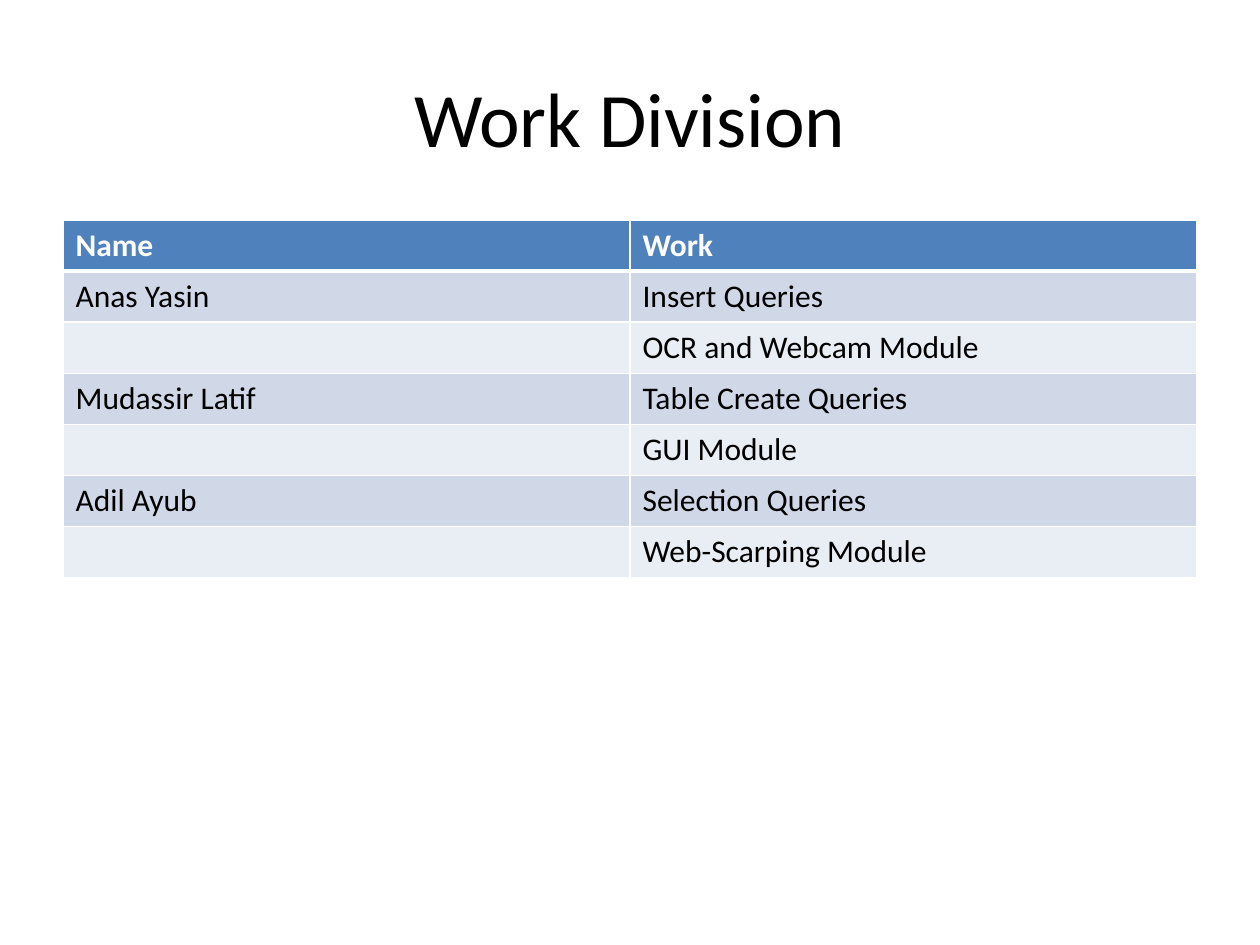
from dataclasses import dataclass

from lxml import etree
from pptx import Presentation
from pptx.dml.color import RGBColor
from pptx.enum.text import MSO_ANCHOR, PP_ALIGN
from pptx.oxml.ns import qn
from pptx.util import Pt

MIDDLE = MSO_ANCHOR.MIDDLE
CENTER = PP_ALIGN.CENTER
TITLE_ONLY = 5
EMU_PER_PX = 914400 / 126
EMU_PER_PT = 12700


@dataclass(frozen=True)
class Theme:
    font: str = "Calibri"
    title_size: int = 44
    cell_size: int = 18
    text: str = "000000"
    light: str = "FFFFFF"
    header: str = "4F81BD"
    bands: tuple = ("D0D8E8", "E9EDF4")
    border: int = 1
    header_border: int = 3


def px(n):
    return round(n * EMU_PER_PX)


class SlideBuilder:
    def __init__(self, prs, theme):
        self.theme = theme
        self.s = prs.slides.add_slide(prs.slide_layouts[TITLE_ONLY])

    def add_text(self, p, text, size, color, bold=False):
        r = p.add_run()
        r.text = text
        style = {"name": self.theme.font, "size": Pt(size), "bold": bold}
        for key, value in style.items():
            setattr(r.font, key, value)
        r.font.color.rgb = RGBColor.from_string(color)

    def title(self, text, x, y, w, h):
        sp = self.s.shapes.title
        place = {"left": x, "top": y, "width": w, "height": h}
        for key, value in place.items():
            setattr(sp, key, px(value))
        tf = sp.text_frame
        tf.vertical_anchor = MIDDLE
        p = tf.paragraphs[0]
        p.alignment = CENTER
        self.add_text(p, text, self.theme.title_size, self.theme.text)

    def borders(self, cell, widths):
        tc_pr = cell._tc.get_or_add_tcPr()
        for side, width in widths.items():
            ln = etree.SubElement(tc_pr, qn(f"a:ln{side}"), w=str(width * EMU_PER_PT))
            fill = etree.SubElement(ln, qn("a:solidFill"))
            etree.SubElement(fill, qn("a:srgbClr"), val=self.theme.light)

    def table(self, rows, x, y, w, row_h):
        t = self.theme
        n_cols = len(rows[0])
        frame = self.s.shapes.add_table(
            len(rows), n_cols, px(x), px(y), px(w), px(row_h * len(rows)))
        for col in frame.table.columns:
            col.width = px(w / n_cols)
        for i, row in enumerate(rows):
            is_header = i == 0
            fill = t.header if is_header else t.bands[(i - 1) % len(t.bands)]
            color = t.light if is_header else t.text
            widths = dict.fromkeys("LRTB", t.border)
            if i < 2:
                widths["B" if is_header else "T"] = t.header_border
            for j, text in enumerate(row):
                cell = frame.table.cell(i, j)
                self.borders(cell, widths)
                cell.fill.solid()
                cell.fill.fore_color.rgb = RGBColor.from_string(fill)
                if text:
                    p = cell.text_frame.paragraphs[0]
                    self.add_text(p, text, t.cell_size, color, is_header)


def main():
    prs = Presentation()
    prs.slide_width, prs.slide_height = px(1260), px(945)
    slide = SlideBuilder(prs, Theme())
    slide.title("Work Division", 63, 38, 1134, 157)
    slide.table([
        ("Name", "Work"),
        ("Anas Yasin", "Insert Queries"),
        ("", "OCR and Webcam Module"),
        ("Mudassir Latif", "Table Create Queries"),
        ("", "GUI Module"),
        ("Adil Ayub", "Selection Queries"),
        ("", "Web-Scarping Module"),
    ], 63, 220, 1134, 51)
    prs.save("out.pptx")


if __name__ == "__main__":
    main()
